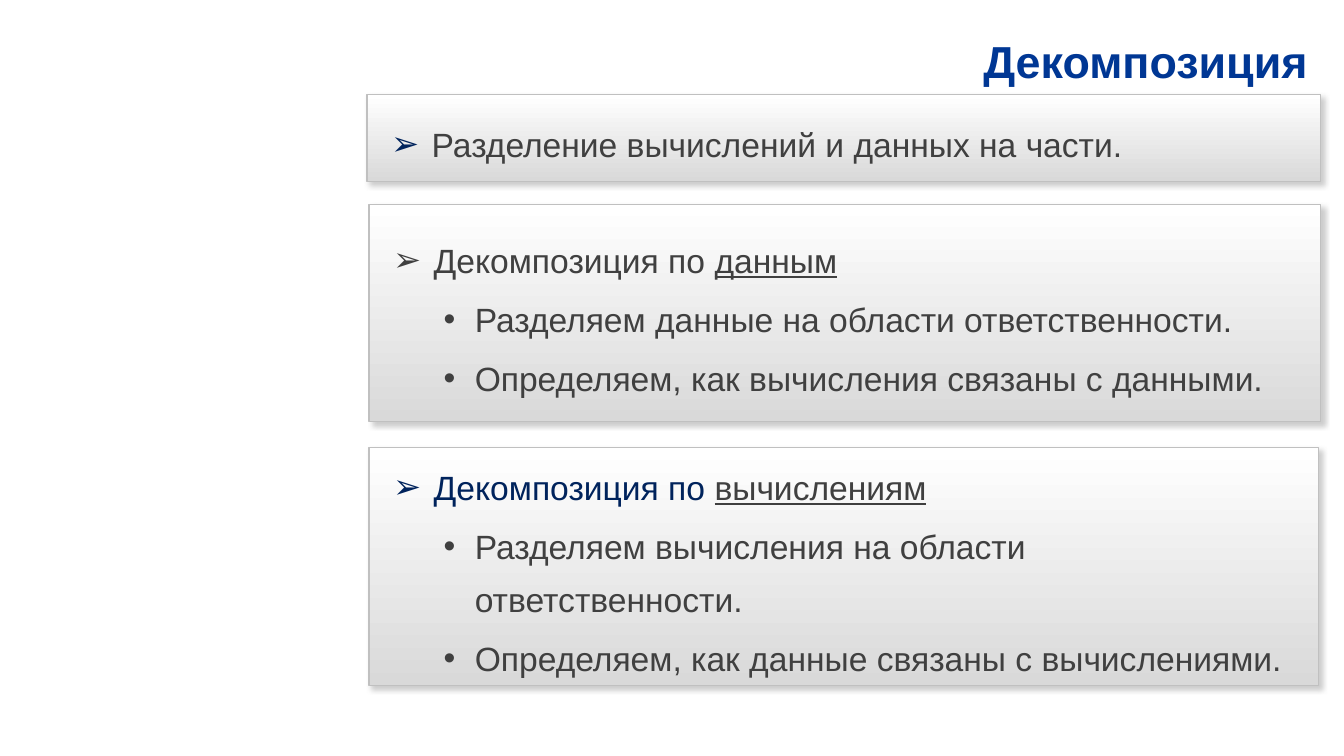
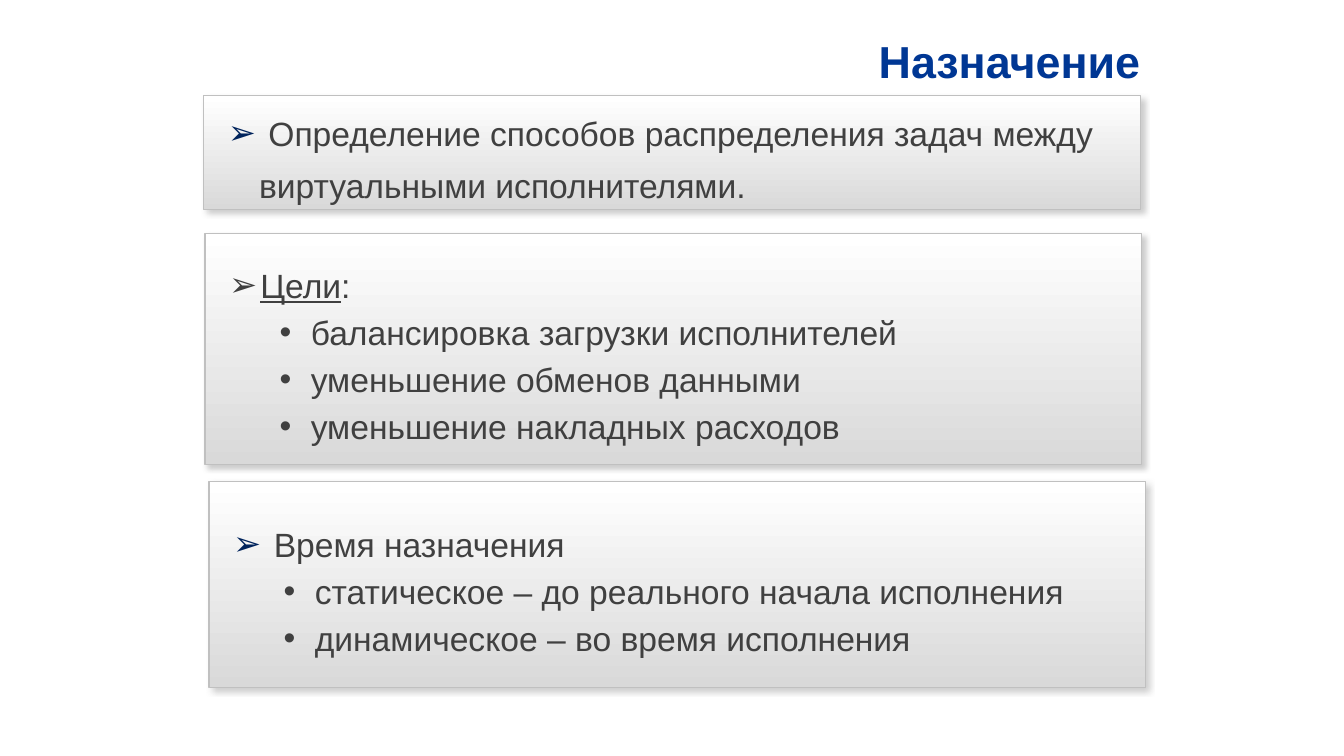
from lxml import etree
from pptx import Presentation, util as u
from pptx.dml.color import RGBColor
from pptx.enum import shapes, text
from pptx.oxml import parse_xml
from pptx.oxml.ns import nsdecls, qn

FONT = "Arial"
BLUE, NAVY, GREY = "003794", "00235C", "404040"
TOP, BOTTOM, EDGE = "FFFFFF", "D9D9D9", "C0C0C0"
SHADOW = (
    f'<a:outerShdw {nsdecls("a")} blurRad="{u.Pt(4)}" dist="{u.Pt(3)}" dir="2700000"'
    ' algn="tl" rotWithShape="0"><a:srgbClr val="808080"><a:alpha val="40000"/>'
    "</a:srgbClr></a:outerShdw>"
)
HANG = u.Inches(0.31)
# Per level: bullet character and left margin
LEVELS = [("➢", HANG), ("•", u.Inches(0.81))]
TITLE_Y, TITLE_W, TITLE_H = 3.47, 69.7, 9.07

# Positions are percentages of the slide: left, top, width, height.
# A box: position, bullet colour, line spacing of sub-items, heading runs, sub-items.
# A heading run: text, colour, underlined.
SLIDES = [
    ("Декомпозиция", 27.6, [
        ((27.3, 12.53, 70.95, 11.47), NAVY, 1.3,
         [(" Разделение вычислений и данных на части.", GREY, False)], []),
        ((27.45, 27.07, 70.8, 28.67), GREY, 1.3,
         [(" Декомпозиция по ", GREY, False), ("данным", GREY, True)],
         ["Разделяем данные на области ответственности.",
          "Определяем, как вычисления связаны с данными."]),
        ((27.45, 59.2, 70.65, 31.47), NAVY, 1.3,
         [(" Декомпозиция по ", NAVY, False), ("вычислениям", GREY, True)],
         ["Разделяем вычисления на области ответственности.",
          "Определяем, как данные связаны с вычислениями."]),
    ]),
    ("Назначение", 15.15, [
        ((15.15, 12.67, 69.7, 15.07), NAVY, 1,
         [(" Определение способов распределения задач между "
           "виртуальными исполнителями.", GREY, False)], []),
        ((15.25, 30.93, 69.7, 30.53), GREY, 1,
         [("Цели", GREY, True), (":", GREY, False)],
         ["балансировка загрузки исполнителей",
          "уменьшение обменов данными",
          "уменьшение накладных расходов"]),
        ((15.55, 63.73, 69.7, 27.2), NAVY, 1,
         [(" Время назначения", GREY, False)],
         ["статическое – до реального начала исполнения",
          "динамическое – во время исполнения"]),
    ]),
]

prs = Presentation()
prs.slide_width, prs.slide_height = u.Inches(13.33), u.Inches(7.5)


def place(x, y, w, h):
    """Turn percentages of the slide into lengths."""
    W, H = prs.slide_width, prs.slide_height
    return [round(share * side / 100) for share, side in zip((x, y, w, h), (W, H, W, H))]


def add_run(p, words, color=GREY, size=24, bold=False, underline=False):
    r = p.add_run()
    r.text = words
    r.font.name, r.font.size = FONT, u.Pt(size)
    r.font.bold, r.font.underline = bold, underline
    r.font.color.rgb = RGBColor.from_string(color)


for title, title_x, boxes in SLIDES:
    s = prs.slides.add_slide(prs.slide_layouts[6])

    tf = s.shapes.add_textbox(*place(title_x, TITLE_Y, TITLE_W, TITLE_H)).text_frame
    tf.word_wrap = True
    tf.vertical_anchor = text.MSO_ANCHOR.MIDDLE
    tf.margin_left = tf.margin_right = tf.margin_top = tf.margin_bottom = 0
    tf.paragraphs[0].alignment = text.PP_ALIGN.RIGHT
    add_run(tf.paragraphs[0], title, BLUE, size=32, bold=True)

    for position, bullet_color, sub_spacing, heading, items in boxes:
        sp = s.shapes.add_shape(shapes.MSO_SHAPE.RECTANGLE, *place(*position))
        sp.fill.gradient()
        sp.fill.gradient_angle = 270
        for stop, color in zip(sp.fill.gradient_stops, (TOP, BOTTOM)):
            stop.color.rgb = RGBColor.from_string(color)
        sp.line.color.rgb = RGBColor.from_string(EDGE)
        sp.line.width = u.Pt(1)
        sp.shadow.inherit = False
        sp._element.spPr.find(qn("a:effectLst")).append(parse_xml(SHADOW))

        tf = sp.text_frame
        tf.word_wrap = True
        tf.vertical_anchor = text.MSO_ANCHOR.MIDDLE
        tf.margin_left = tf.margin_right = u.Inches(0.24)
        tf.margin_top = tf.margin_bottom = u.Inches(0.04)

        rows = [(0, 1.3, bullet_color, heading)]
        rows += [(1, sub_spacing, GREY, [(item, GREY, False)]) for item in items]
        for i, (level, spacing, mark_color, runs) in enumerate(rows):
            p = tf.add_paragraph() if i else tf.paragraphs[0]
            p.level, p.alignment = level, text.PP_ALIGN.LEFT
            p.line_spacing, p.space_after = spacing, u.Pt(4.8)
            mark, margin = LEVELS[level]
            pPr = p._p.get_or_add_pPr()
            pPr.set("marL", str(margin))
            pPr.set("indent", str(-HANG))
            bu_clr = etree.SubElement(pPr, qn("a:buClr"))
            etree.SubElement(bu_clr, qn("a:srgbClr"), val=mark_color)
            etree.SubElement(pPr, qn("a:buFont"), typeface=FONT)
            etree.SubElement(pPr, qn("a:buChar"), char=mark)
            for words, color, underline in runs:
                add_run(p, words, color, underline=underline)

prs.save("out.pptx")
